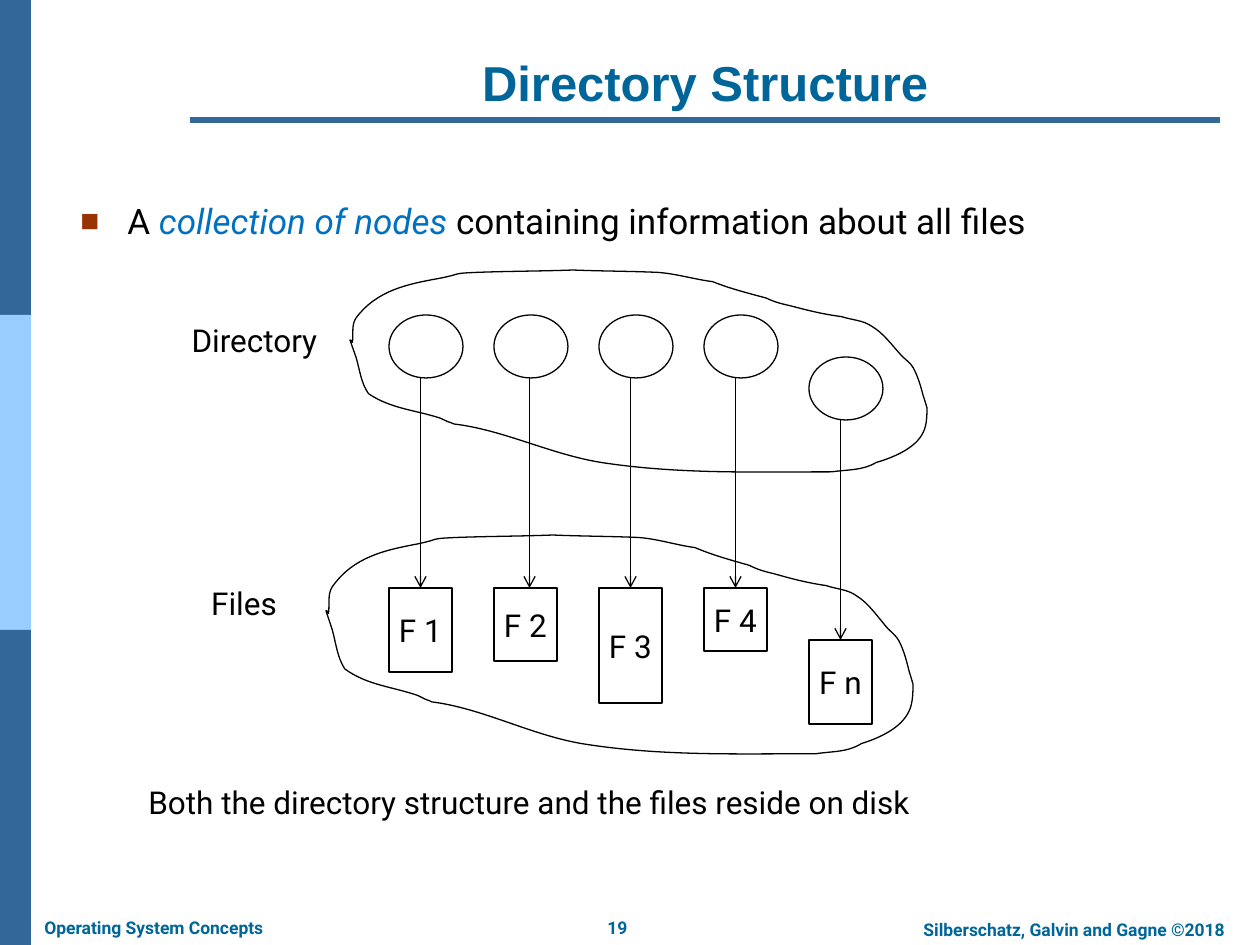
from lxml import etree
from pptx import Presentation
from pptx.dml.color import RGBColor
from pptx.enum.shapes import MSO_CONNECTOR, MSO_SHAPE
from pptx.enum.text import MSO_ANCHOR as ANCHOR, PP_ALIGN as ALIGN
from pptx.oxml.ns import qn
from pptx.util import Pt

EMU_PER_PX = 914400 / 126
BLACK, WHITE, TEAL, BLUE = "000000", "FFFFFF", "006699", "336699"

# Blob outline on a 466 x 174 grid: start point, then cubic segments
BLOB_SIZE = (466, 174)
BLOB_START = (2, 62)
BLOB_CURVES = [
    ((3, 55), (1, 47), (5, 41)), ((22, 17), (47, 12), (73, 7)),
    ((92, 3), (81, 3), (103, 2)), ((129, 1), (155, 1), (180, 0)),
    ((203, 1), (226, 1), (248, 2)), ((263, 3), (278, 8), (293, 10)),
    ((307, 16), (322, 20), (336, 24)), ((344, 28), (349, 29), (357, 31)),
    ((371, 35), (383, 38), (397, 40)), ((406, 43), (414, 43), (421, 48)),
    ((431, 54), (438, 65), (446, 74)), ((449, 77), (453, 80), (455, 84)),
    ((459, 92), (461, 100), (463, 108)), ((464, 111), (466, 118), (466, 118)),
    ((466, 123), (466, 133), (463, 139)), ((457, 153), (438, 161), (425, 165)),
    ((414, 172), (402, 171), (389, 173)), ((324, 173), (265, 175), (203, 165)),
    ((162, 158), (124, 137), (84, 132)), ((83, 131), (81, 131), (79, 130)),
    ((77, 129), (75, 128), (73, 127)), ((53, 120), (33, 119), (15, 106)),
    ((9, 97), (8, 86), (5, 75)), ((5, 75), (1, 63), (0, 60)),
    ((0, 59), (2, 61), (2, 62)),
]


def px(n):
    return round(n * EMU_PER_PX)


def rgb(color):
    return RGBColor.from_string(color)


def add_runs(p, runs, size, font="Roboto", bold=False):
    """Each run is (text, color, italic)."""
    for text, color, italic in runs:
        r = p.add_run()
        r.text = text
        r.font.name, r.font.size = font, Pt(size)
        r.font.bold, r.font.italic = bold, italic
        r.font.color.rgb = rgb(color)


def add_text(slide, box, runs, size, align=ALIGN.LEFT, anchor=ANCHOR.TOP,
             wrap=True, **font):
    tf = slide.shapes.add_textbox(*map(px, box)).text_frame
    tf.word_wrap, tf.vertical_anchor = wrap, anchor
    p = tf.paragraphs[0]
    p.alignment = align
    add_runs(p, runs, size, **font)
    return p


def add_bullet(p, indent, char, color, percent):
    pPr = p._p.get_or_add_pPr()
    pPr.set("marL", str(px(indent)))
    pPr.set("indent", str(-px(indent)))
    clr = etree.SubElement(pPr, qn("a:buClr"))
    etree.SubElement(clr, qn("a:srgbClr"), val=color)
    etree.SubElement(pPr, qn("a:buSzPct"), val=str(percent * 1000))
    etree.SubElement(pPr, qn("a:buFont"), typeface="Arial")
    etree.SubElement(pPr, qn("a:buChar"), char=char)


def add_box(slide, kind, box, fill, line=None):
    sp = slide.shapes.add_shape(kind, *map(px, box))
    sp.shadow.inherit = False
    sp.fill.solid()
    sp.fill.fore_color.rgb = rgb(fill)
    if line:
        sp.line.color.rgb = rgb(line)
        sp.line.width = Pt(0.75)
    else:
        sp.line.fill.background()
    return sp


def add_line(slide, x1, y1, x2, y2, color, width, arrow=False):
    cx = slide.shapes.add_connector(MSO_CONNECTOR.STRAIGHT,
                                    *map(px, (x1, y1, x2, y2)))
    cx.line.color.rgb = rgb(color)
    cx.line.width = Pt(width)
    if arrow:
        etree.SubElement(cx.line._get_or_add_ln(), qn("a:tailEnd"), type="arrow")
    etree.SubElement(cx._element.spPr, qn("a:effectLst"))
    return cx


def add_blob(slide, x, y, w, h):
    scale = (px(w) / BLOB_SIZE[0], px(h) / BLOB_SIZE[1])
    builder = slide.shapes.build_freeform(*BLOB_START, scale=scale)
    builder.add_line_segments([curve[-1] for curve in BLOB_CURVES], close=True)
    sp = builder.convert_to_shape(px(x), px(y))
    # Turn each straight segment into its cubic curve
    segments = list(sp._element.iter(qn("a:lnTo")))
    for segment, curve in zip(segments, BLOB_CURVES):
        cubic = etree.Element(qn("a:cubicBezTo"))
        for a, b in curve:
            etree.SubElement(cubic, qn("a:pt"), x=str(a), y=str(b))
        segment.getparent().replace(segment, cubic)
    sp.shadow.inherit = False
    sp.fill.background()
    sp.line.color.rgb = rgb(BLACK)
    sp.line.width = Pt(0.75)


def add_file(slide, box, name):
    sp = add_box(slide, MSO_SHAPE.RECTANGLE, box, WHITE, BLACK)
    tf = sp.text_frame
    tf.word_wrap, tf.vertical_anchor = False, ANCHOR.MIDDLE
    p = tf.paragraphs[0]
    p.alignment = ALIGN.CENTER
    add_runs(p, [(name, BLACK, False)], 18)
    return sp


def add_frame(slide):
    # Side stripe in three equal parts
    for i, color in enumerate((BLUE, "99CCFF", BLUE)):
        add_box(slide, MSO_SHAPE.RECTANGLE, (0, 315 * i, 31, 315), color)
    # Title rule
    for left, width in ((190, 3), (224, 1.5)):
        add_line(slide, left, 120, 1220, 120, BLUE, width)
    # Footer
    for box, text, align, wrap in (
        ((594, 911, 47, 34), "19", ALIGN.CENTER, False),
        ((32, 911, 262, 34), "Operating System Concepts", ALIGN.LEFT, True),
        ((894, 913, 343, 34), "Silberschatz, Galvin and Gagne ©2018",
         ALIGN.RIGHT, True),
    ):
        add_text(slide, box, [(text, TEAL, False)], 10, align, wrap=wrap, bold=True)


def add_diagram(slide):
    node_w, node_h, file_w, pitch = 74, 63, 63, 105
    # Name, node top, file top, file height, arrow offset from the file's middle
    columns = [("F 1", 315, 588, 84, 0), ("F 2", 315, 588, 73, 4),
               ("F 3", 315, 588, 115, 0), ("F 4", 315, 588, 63, 0),
               ("F n", 357, 640, 84, 0)]
    for i, (name, node_y, file_y, file_h, shift) in enumerate(columns):
        x = 389 + pitch * i
        add_box(slide, MSO_SHAPE.OVAL, (x, node_y, node_w, node_h), WHITE, BLACK)
        file = add_file(slide, (x, file_y, file_w, file_h), name)
        arrow_x = x + file_w / 2 + shift
        arrow = add_line(slide, arrow_x, node_y + node_h, arrow_x, file_y,
                         BLACK, 0.75, arrow=True)
        if not shift:
            arrow.end_connect(file, 0)
    # Outlines around the nodes and the files
    add_blob(slide, 350, 270, 577, 203)
    add_blob(slide, 326, 535, 587, 220)
    # Labels
    for box, text in (((179, 314, 151, 51), "Directory"),
                      ((198, 577, 92, 51), "Files")):
        add_text(slide, box, [(text, BLACK, False)], 18, ALIGN.CENTER,
                 ANCHOR.MIDDLE, wrap=False)


def main():
    prs = Presentation()
    prs.slide_width, prs.slide_height = px(1260), px(945)
    slide = prs.slides.add_slide(prs.slide_layouts[6])
    add_frame(slide)
    add_text(slide, (190, 39, 1030, 79), [("Directory Structure", TEAL, False)],
             28, ALIGN.CENTER, ANCHOR.BOTTOM, font="Arial", bold=True)
    p = add_text(slide, (68, 193, 1152, 692), [
        ("A ", BLACK, False),
        ("collection of nodes ", "0070C0", True),
        ("containing information about all files", BLACK, False),
    ], 20)
    add_bullet(p, 47, "■", "993300", 90)
    add_diagram(slide)
    add_text(slide, (136, 777, 1047, 53),
             [("Both the directory structure and the files reside on disk",
               BLACK, False)], 18)
    prs.save("out.pptx")


if __name__ == "__main__":
    main()
